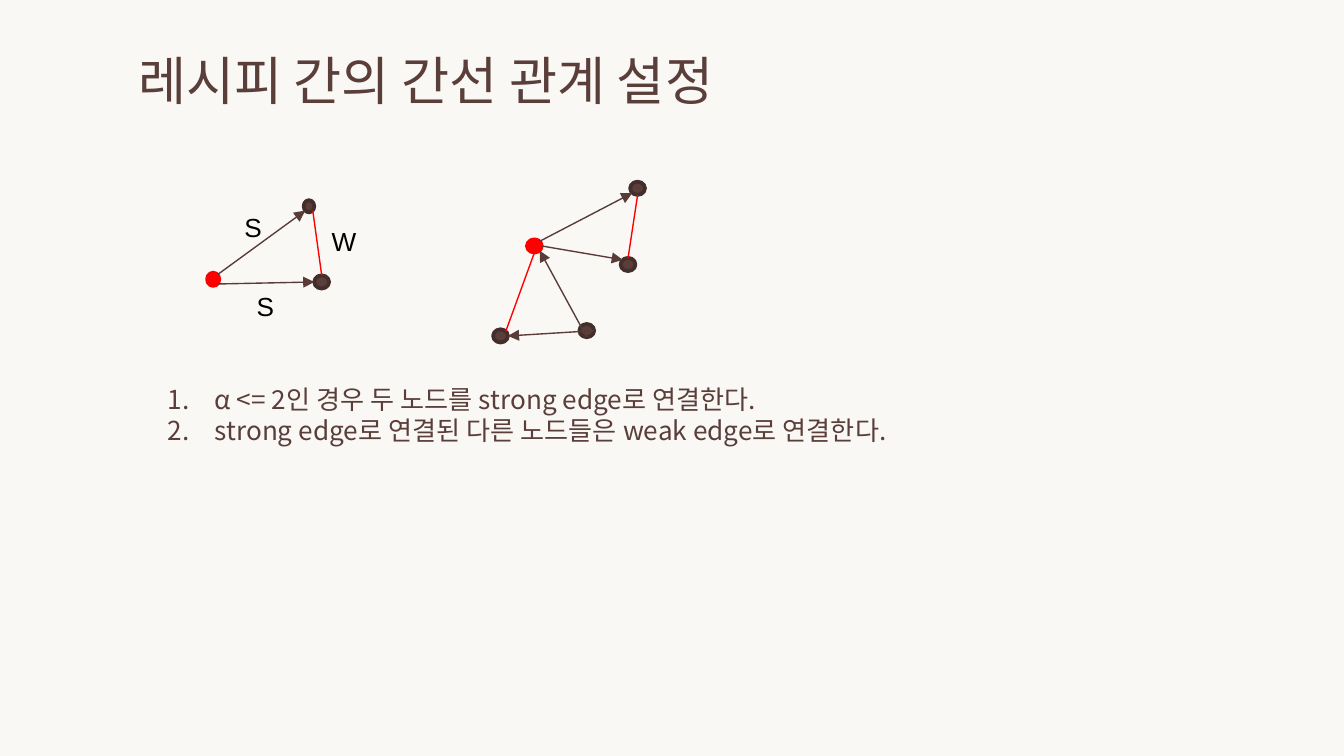
from lxml import etree
from pptx import Presentation
from pptx.dml.color import RGBColor
from pptx.enum.shapes import MSO_CONNECTOR, MSO_SHAPE
from pptx.enum.text import MSO_ANCHOR
from pptx.oxml.ns import qn
from pptx.util import Cm, Pt

STRAIGHT = MSO_CONNECTOR.STRAIGHT
OVAL = MSO_SHAPE.OVAL
TOP = MSO_ANCHOR.TOP

COLOURS = {"paper": "FAF8F4", "brown": "5A3E3A", "rim": "432E2B",
           "edge": "593C38", "red": "FF0000", "black": "000000"}
KOREAN = "Noto Sans CJK KR"

TITLE = "레시피 간의 간선 관계 설정"
RULES = ["α <= 2인 경우 두 노드를 strong edge로 연결한다.",
         "strong edge로 연결된 다른 노드들은 weak edge로 연결한다."]

# name: centre x, centre y, width, height, fill, line
NODES = {
    "small top": (5.84, 3.9, 0.2, 0.23, "brown", "rim"),
    "small hub": (4.03, 5.28, 0.23, 0.25, "red", "red"),
    "small right": (6.08, 5.33, 0.28, 0.25, "brown", "rim"),
    "large top": (12.05, 3.56, 0.28, 0.25, "brown", "rim"),
    "large hub": (10.1, 4.65, 0.28, 0.25, "red", "red"),
    "large right": (11.87, 5, 0.28, 0.25, "brown", "rim"),
    "large source": (11.09, 6.25, 0.28, 0.25, "brown", "rim"),
    "large left": (9.46, 6.35, 0.28, 0.25, "brown", "rim"),
}
SITES = {"top": (0, -1), "bottom": (0, 1), "left": (-1, 0), "right": (1, 0),
         "top left": (-0.71, -0.71), "top right": (0.71, -0.71),
         "bottom left": (-0.71, 0.71), "bottom right": (0.71, 0.71)}
STRONG_EDGES = [
    ("small hub", "top right", "small top", "bottom left"),
    ("small hub", "bottom right", "small right", "left"),
    ("large hub", "top right", "large top", "bottom left"),
    ("large hub", "right", "large right", "top left"),
    ("large source", "right", "large left", "right"),
    ("large source", "bottom", "large hub", "bottom right"),
]
WEAK_EDGES = [
    ("small top", "bottom right", "small right", "top"),
    ("large top", "bottom", "large right", "top"),
    ("large hub", "bottom", "large left", "top right"),
]
LABELS = [("S", 4.37, 3.86), ("S", 4.6, 5.36), ("W", 6.02, 4.14)]


def colour(name):
    return RGBColor.from_string(COLOURS[name])


def add_text(page, place, lines, font, size, ink, insets, spacing=1.0):
    box = page.shapes.add_textbox(*(Cm(value) for value in place))
    frame = box.text_frame
    left, top, right, bottom = (Cm(value) for value in insets)
    layout = {"word_wrap": True, "vertical_anchor": TOP, "margin_left": left,
              "margin_top": top, "margin_right": right, "margin_bottom": bottom}
    for name, value in layout.items():
        setattr(frame, name, value)
    for index, line in enumerate(lines):
        para = frame.paragraphs[0] if index == 0 else frame.add_paragraph()
        para.line_spacing = spacing
        span = para.add_run()
        span.text = line
        for name, value in {"name": font, "size": Pt(size)}.items():
            setattr(span.font, name, value)
        span.font.color.rgb = colour(ink)
        etree.SubElement(span.font._element, qn("a:ea"), typeface=font)
    return frame


def number(para):
    props = para._p.get_or_add_pPr()
    props.set("marL", str(Cm(1.27)))
    props.set("indent", str(-Cm(0.89)))
    etree.SubElement(props, qn("a:buFont"), typeface=KOREAN)
    etree.SubElement(props, qn("a:buAutoNum"), type="arabicPeriod")


def add_node(page, x, y, width, height, fill, line):
    node = page.shapes.add_shape(OVAL, Cm(x - width / 2), Cm(y - height / 2),
                                 Cm(width), Cm(height))
    node.shadow.inherit = False
    node.fill.solid()
    node.fill.fore_color.rgb = colour(fill)
    node.line.color.rgb = colour(line)
    node.line.width = Pt(2)


def site_point(node, site):
    x, y, width, height = NODES[node][:4]
    across, down = SITES[site]
    return Cm(x + across * width / 2), Cm(y + down * height / 2)


def add_edge(page, start, start_site, end, end_site, ink, arrow):
    edge = page.shapes.add_connector(STRAIGHT, *site_point(start, start_site),
                                     *site_point(end, end_site))
    edge.line.color.rgb = colour(ink)
    edge.line.width = Pt(0.75)
    if arrow:
        etree.SubElement(edge.line._get_or_add_ln(), qn("a:tailEnd"), type="triangle")
    etree.SubElement(edge._element.spPr, qn("a:effectLst"))


def main():
    deck = Presentation()
    deck.slide_width, deck.slide_height = Cm(25.4), Cm(14.29)
    page = deck.slides.add_slide(deck.slide_layouts[6])
    page.background.fill.solid()
    page.background.fill.fore_color.rgb = colour("paper")

    add_text(page, (2.36, 0.89, 16.81, 1.4), [TITLE], KOREAN, 28, "brown",
             (0.25, 0.25, 0.25, 0.25), 0.8)
    rules = add_text(page, (2.79, 7.24, 16.38, 1.5), RULES, KOREAN, 14, "brown",
                     (0, 0, 0, 0))
    for para in rules.paragraphs:
        number(para)

    for node in NODES.values():
        add_node(page, *node)
    for edge in STRONG_EDGES:
        add_edge(page, *edge, "edge", True)
    for edge in WEAK_EDGES:
        add_edge(page, *edge, "red", False)
    for label, left, top in LABELS:
        add_text(page, (left, top, 0.84, 0.86), [label], "Arial", 14, "black",
                 (0.25, 0.13, 0, 0.13))

    deck.save("out.pptx")


if __name__ == "__main__":
    main()
